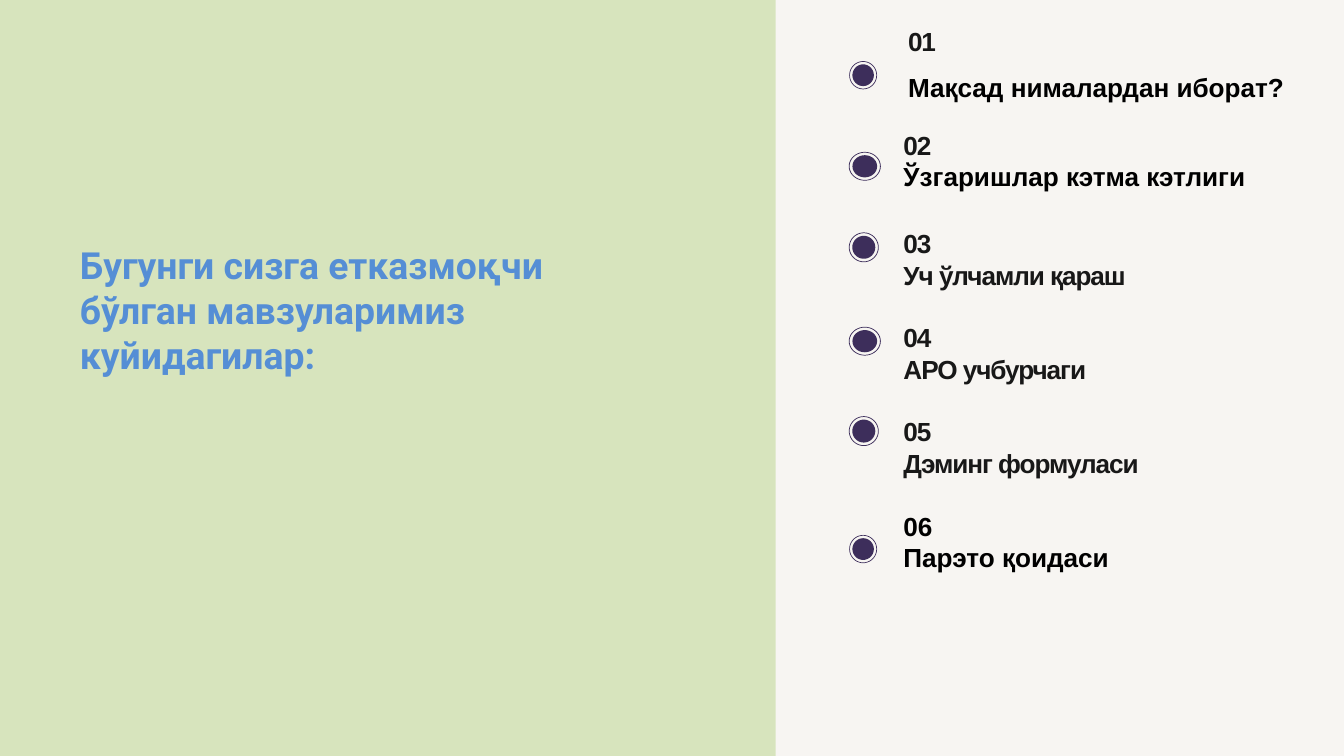
import math

import pptx
import pptx.dml.color
import pptx.enum.shapes
import pptx.enum.text
import pptx.util

Pt = pptx.util.Pt
RGBColor = pptx.dml.color.RGBColor

GREEN = RGBColor(0xD7, 0xE4, 0xBD)
CREAM = RGBColor(0xF7, 0xF5, 0xF2)
PURPLE = RGBColor(0x3D, 0x2E, 0x5B)
BLUE = RGBColor(0x55, 0x8E, 0xD5)
CHARCOAL = RGBColor(0x18, 0x18, 0x18)
BLACK = RGBColor(0, 0, 0)

TITLE = "Бугунги сизга етказмоқчи бўлган мавзуларимиз куйидагилар:"
FIRST_TOPIC = [("01", CHARCOAL, 0), ("Мақсад нималардан иборат?", BLACK, 15.1)]
OTHER_TOPICS = [
    ("02", CHARCOAL, 0),
    ("Ўзгаришлар кэтма кэтлиги", BLACK, 0),
    ("03", CHARCOAL, 38.4),
    ("Уч ўлчамли қараш", CHARCOAL, 0),
    ("04", CHARCOAL, 33.6),
    ("АРО учбурчаги", CHARCOAL, 0),
    ("05", CHARCOAL, 33.6),
    ("Дэминг формуласи", CHARCOAL, 0),
    ("06", BLACK, 33.6),
    ("Парэто қоидаси", BLACK, 0),
]
MARKER_SETS = [
    (924.8, [80.6], 29.8, 30.2),
    (925.5, [265, 461.9], 32, 31.9),
    (926.6, [178.2, 365.6], 34.3, 30.8),
    (924.8, [588.3], 29.8, 30.2),
]
RING_SCALES = (1, 0.95, 0.77)
ELLIPSE_STEPS = 40


def paint(shape, color):
    """Give a shape a plain fill without line or shadow."""
    shape.shadow.inherit = False
    shape.fill.solid()
    shape.fill.fore_color.rgb = color
    shape.line.fill.background()


def ellipse_points(center_x, center_y, width, height):
    """Return the outline points of an ellipse."""
    angles = [2 * math.pi * step / ELLIPSE_STEPS for step in range(ELLIPSE_STEPS)]
    return [(Pt(center_x + width / 2 * math.cos(angle)),
             Pt(center_y + height / 2 * math.sin(angle))) for angle in angles]


def add_markers(slide, center_x, centers_y, width, height):
    """Draw ringed dots of one size as a single outline shape."""
    contours = [ellipse_points(center_x, center_y, width * scale, height * scale)
                for center_y in centers_y for scale in RING_SCALES]
    builder = slide.shapes.build_freeform(*contours[0][0])
    for index, points in enumerate(contours):
        if index:
            builder.move_to(*points[0])
        builder.add_line_segments(points[1:], close=True)
    paint(builder.convert_to_shape(), PURPLE)


def add_text(slide, left, top, width, height, inset, lines, font_name, size):
    """Add a bold text box from (text, color, space before) lines."""
    box = slide.shapes.add_textbox(Pt(left), Pt(top), Pt(width), Pt(height))
    frame = box.text_frame
    frame.word_wrap = True
    frame.vertical_anchor = pptx.enum.text.MSO_ANCHOR.TOP
    frame.margin_left = frame.margin_right = frame.margin_bottom = 0
    frame.margin_top = Pt(inset)
    for index, (text, color, space_before) in enumerate(lines):
        paragraph = frame.add_paragraph() if index else frame.paragraphs[0]
        paragraph.text = text
        if space_before:
            paragraph.space_before = Pt(space_before)
        font = paragraph.font
        font.name, font.size, font.bold = font_name, Pt(size), True
        font.color.rgb = color
        if color == CHARCOAL:
            paragraph.runs[0].font._element.set("spc", "-110")


def main():
    """Build the agenda slide."""
    presentation = pptx.Presentation()
    presentation.slide_width, presentation.slide_height = Pt(1440), Pt(810)
    slide = presentation.slides.add_slide(presentation.slide_layouts[6])
    slide.background.fill.solid()
    slide.background.fill.fore_color.rgb = GREEN
    panel = slide.shapes.add_shape(
        pptx.enum.shapes.MSO_SHAPE.RECTANGLE, Pt(831), 0, Pt(609), Pt(810))
    paint(panel, CREAM)
    add_text(slide, 85.7, 258.5, 569.5, 146, 1, [(TITLE, BLUE, 0)], "Roboto", 40)
    add_text(slide, 972.9, 12.2, 467.1, 144, 15.1, FIRST_TOPIC, "Arial", 28)
    add_text(slide, 968, 123.1, 454.3, 495.4, 15.1, OTHER_TOPICS, "Arial", 28)
    for marker_set in MARKER_SETS:
        add_markers(slide, *marker_set)
    presentation.save("out.pptx")


if __name__ == "__main__":
    main()
